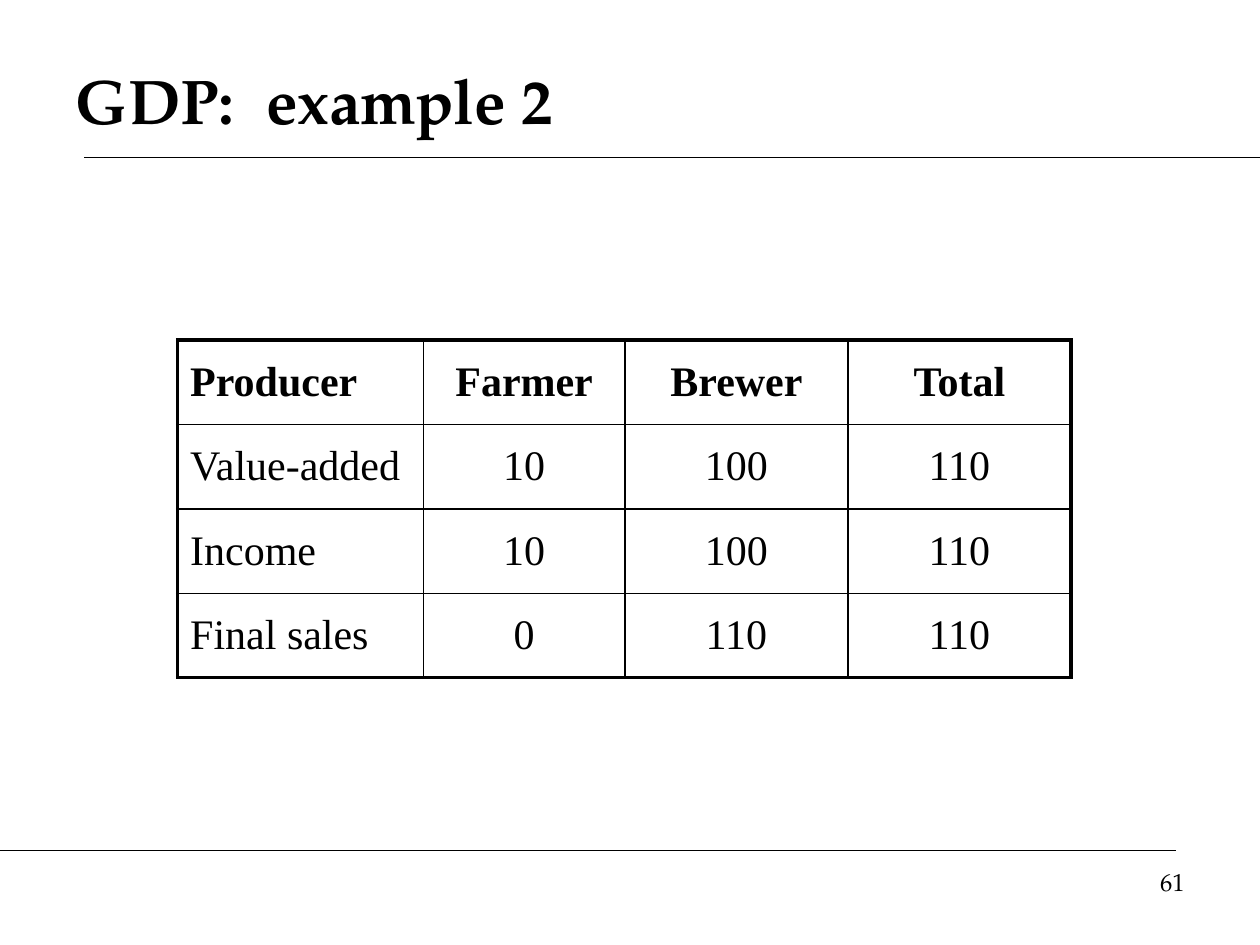
from lxml import etree
from pptx import Presentation
from pptx.dml.color import RGBColor
from pptx.enum.shapes import MSO_CONNECTOR
from pptx.enum.text import MSO_ANCHOR, PP_ALIGN
from pptx.oxml.ns import qn
from pptx.util import Inches, Pt

LEFT, CENTER, RIGHT = PP_ALIGN.LEFT, PP_ALIGN.CENTER, PP_ALIGN.RIGHT
TOP, MIDDLE = MSO_ANCHOR.TOP, MSO_ANCHOR.MIDDLE
STRAIGHT = MSO_CONNECTOR.STRAIGHT
BLACK = RGBColor(0, 0, 0)
HEADING_FONT, TABLE_FONT = "TeX Gyre Pagella", "Times New Roman"

# Content
TITLE = "GDP:  example 2"
PAGE_NUMBER = "61"
ROWS = [
    ("Producer", "Farmer", "Brewer", "Total"),
    ("Value-added", "10", "100", "110"),
    ("Income", "10", "100", "110"),
    ("Final sales", "0", "110", "110"),
]
COLUMN_WIDTHS = (1.95, 1.6, 1.77, 1.77)
ROW_HEIGHT = 0.67
RULES = [(0.67, 10, 1.25), (0, 9.33, 6.75)]  # start x, end x, y
OUTER_BORDER, INNER_BORDER = 2.25, 1


def write(frame, text, font, size, bold=False, align=LEFT, anchor=TOP):
    frame.word_wrap = True
    frame.vertical_anchor = anchor
    para = frame.paragraphs[0]
    para.alignment = align
    span = para.add_run()
    span.text = text
    span.font.name = font
    span.font.size = Pt(size)
    span.font.bold = bold
    span.font.color.rgb = BLACK


def set_borders(cell, widths):
    """Draw black cell borders; widths maps L, R, T, B to points."""
    properties = cell._tc.get_or_add_tcPr()
    for index, (side, width) in enumerate(widths.items()):
        border = etree.Element(qn(f"a:ln{side}"), w=str(Pt(width)))
        fill = etree.SubElement(border, qn("a:solidFill"))
        etree.SubElement(fill, qn("a:srgbClr"), val=str(BLACK))
        properties.insert(index, border)


deck = Presentation()
deck.slide_width, deck.slide_height = Inches(10), Inches(7.5)
page = deck.slides.add_slide(deck.slide_layouts[5])

# Rules above and below the content
for start, end, y in RULES:
    rule = page.shapes.add_connector(
        STRAIGHT, Inches(start), Inches(y), Inches(end), Inches(y))
    rule.line.color.rgb = BLACK
    rule.line.width = Pt(0.75)
    etree.SubElement(rule._element.spPr, qn("a:effectLst"))

# Title and page number
title = page.shapes.title
title.left, title.top = Inches(0.5), Inches(0.33)
title.width, title.height = Inches(9), Inches(0.92)
write(title.text_frame, TITLE, HEADING_FONT, 36, bold=True, anchor=MIDDLE)

number_box = page.shapes.add_textbox(
    Inches(7.17), Inches(6.83), Inches(2.33), Inches(0.52))
write(number_box.text_frame, PAGE_NUMBER, HEADING_FONT, 14, align=RIGHT)

# Table
last_row, last_column = len(ROWS) - 1, len(COLUMN_WIDTHS) - 1
table = page.shapes.add_table(
    len(ROWS), len(COLUMN_WIDTHS), Inches(1.41), Inches(2.7),
    Inches(sum(COLUMN_WIDTHS)), Inches(ROW_HEIGHT * len(ROWS))).table
table.first_row = table.horz_banding = False
for column, width in zip(table.columns, COLUMN_WIDTHS):
    column.width = Inches(width)
for r, values in enumerate(ROWS):
    table.rows[r].height = Inches(ROW_HEIGHT)
    for c, value in enumerate(values):
        cell = table.cell(r, c)
        cell.fill.background()
        cell.vertical_anchor = MIDDLE
        write(cell.text_frame, value, TABLE_FONT, 24, bold=r == 0,
              align=CENTER if c else LEFT, anchor=None)
        on_edge = {"L": c == 0, "R": c == last_column,
                   "T": r == 0, "B": r == last_row}
        set_borders(cell, {side: OUTER_BORDER if edge else INNER_BORDER
                           for side, edge in on_edge.items()})

deck.save("out.pptx")
